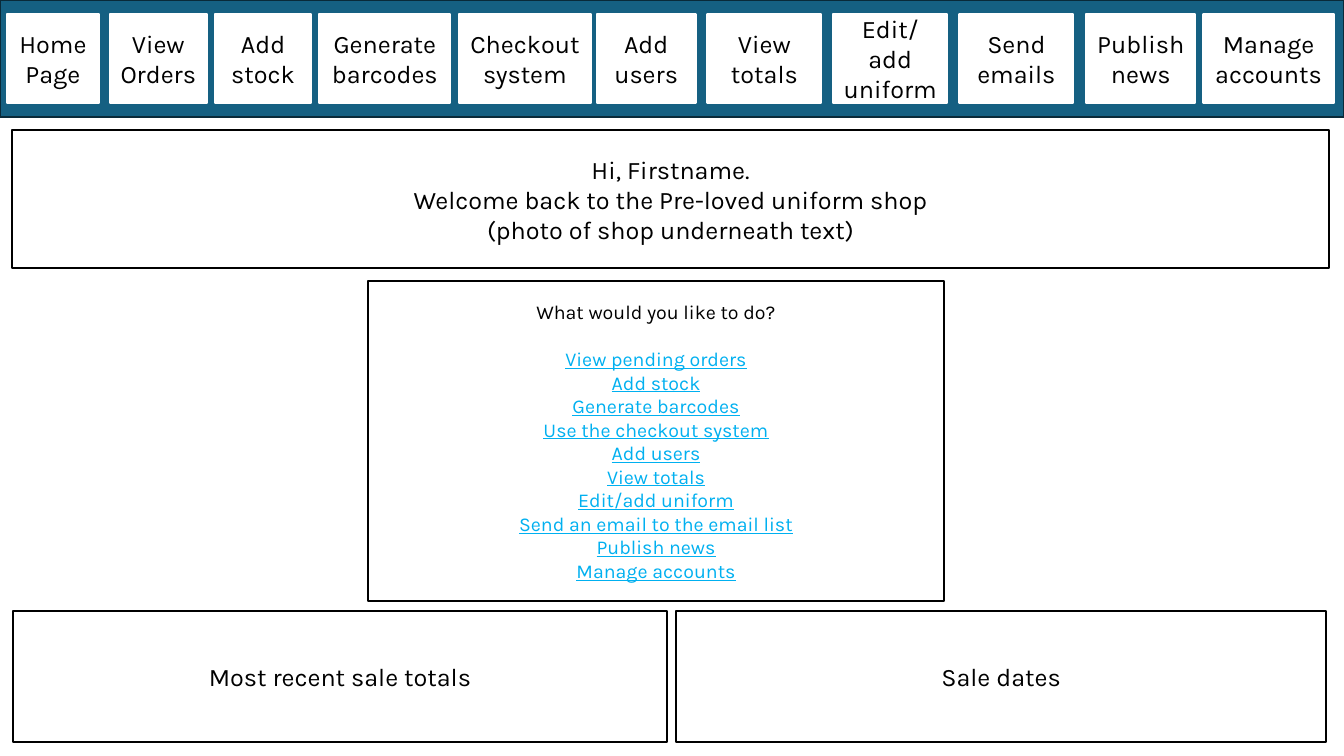
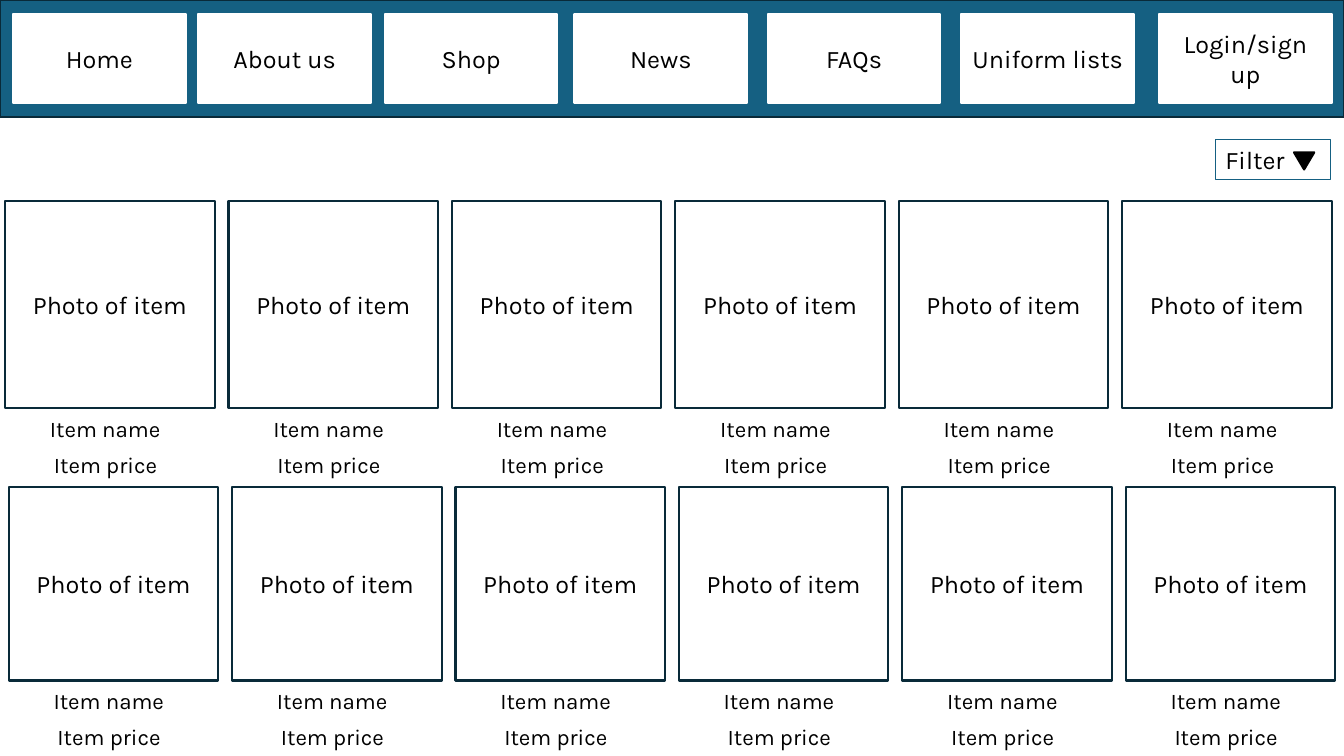
import pptx
from pptx.dml.color import RGBColor
from pptx.enum.shapes import MSO_SHAPE
from pptx.enum.text import MSO_ANCHOR, PP_ALIGN
from pptx.util import Cm, Pt

BLUE = RGBColor(0x15, 0x60, 0x82)
NAVY = RGBColor(0x09, 0x2A, 0x39)
LINK = RGBColor(0x00, 0xB0, 0xF0)
BLACK = RGBColor(0x00, 0x00, 0x00)
WHITE = RGBColor(0xFF, 0xFF, 0xFF)

FONT = "Karla"
SLIDE_WIDTH, SLIDE_HEIGHT = 33.87, 19.05
BAND = (0, 0, SLIDE_WIDTH, 2.95)

# Label, left and width of each button, in centimetres.
ADMIN_BUTTONS = [
    ("Home Page", 0.18, 2.31),
    ("View Orders", 2.77, 2.44),
    ("Add stock", 5.41, 2.44),
    ("Generate barcodes", 8.05, 3.3),
    ("Checkout system", 11.57, 3.32),
    ("Add users", 15.04, 2.49),
    ("View totals", 17.83, 2.87),
    ("Edit/add uniform", 21.0, 2.87),
    ("Send emails", 24.18, 2.87),
    ("Publish news", 27.38, 2.74),
    ("Manage accounts", 30.33, 3.28),
]
SHOP_BUTTONS = [
    ("Home", 0.33, 4.35),
    ("About us", 5.0, 4.35),
    ("Shop", 9.7, 4.35),
    ("News", 14.48, 4.35),
    ("FAQs", 19.35, 4.35),
    ("Uniform lists", 24.23, 4.35),
    ("Login/sign up", 29.21, 4.35),
]
GREETING = [
    "Hi, Firstname.",
    "Welcome back to the Pre-loved uniform shop",
    "(photo of shop underneath text)",
]
MENU_LINKS = [
    "View pending orders",
    "Add stock",
    "Generate barcodes",
    "Use the checkout system",
    "Add users",
    "View totals",
    "Edit/add uniform",
    "Send an email to the email list",
    "Publish news",
    "Manage accounts",
]

ITEM_COLUMNS = 6
ITEM_LEFT, ITEM_STEP, ITEM_WIDTH = 0.13, 5.63, 5.28
ITEM_ROWS = [(0, 5.06, 5.23), (0.09, 12.27, 4.88)]  # indent, top, photo height


def write_text(shape, lines, size=18, color=BLACK, align=PP_ALIGN.CENTER,
               anchor=MSO_ANCHOR.MIDDLE, underline=None, append=False):
    """Write one paragraph per line, replacing or following the present text."""
    frame = shape.text_frame
    frame.word_wrap = True
    frame.vertical_anchor = anchor
    for index, line in enumerate(lines):
        first = index == 0 and not append
        paragraph = frame.paragraphs[0] if first else frame.add_paragraph()
        paragraph.alignment = align
        run = paragraph.add_run()
        run.text = line
        run.font.name = FONT
        run.font.size = Pt(size)
        run.font.color.rgb = color
        run.font.underline = underline


def add_box(slide, box, fill=WHITE, line=BLACK, line_width=1.5,
            kind=MSO_SHAPE.RECTANGLE):
    shape = slide.shapes.add_shape(kind, *map(Cm, box))
    shape.shadow.inherit = False
    if fill is None:
        shape.fill.background()
    else:
        shape.fill.solid()
        shape.fill.fore_color.rgb = fill
    shape.line.color.rgb = line
    shape.line.width = Pt(line_width)
    return shape


def add_panel(slide, box, lines, line=BLACK):
    write_text(add_box(slide, box, line=line), lines)


def add_navigation(slide, band, buttons):
    left, top, _, _ = band
    add_box(slide, band, fill=BLUE, line=NAVY)
    for label, offset, width in buttons:
        add_panel(slide, (left + offset, top + 0.35, width, 2.24), [label], line=WHITE)


def add_menu(slide, box):
    menu = add_box(slide, box)
    write_text(menu, ["What would you like to do?"], size=14)
    menu.text_frame.paragraphs[0].space_after = Pt(17)
    write_text(menu, MENU_LINKS, size=14, color=LINK, underline=True, append=True)


def add_filter(slide, box):
    left, top, _, _ = box
    button = add_box(slide, box, fill=None, line=BLUE, line_width=0.75)
    write_text(button, ["Filter"], align=PP_ALIGN.LEFT, anchor=MSO_ANCHOR.TOP)
    arrow = add_box(slide, (left + 1.98, top + 0.33, 0.51, 0.43), fill=BLACK,
                    kind=MSO_SHAPE.ISOSCELES_TRIANGLE)
    arrow.rotation = 180


def add_item(slide, photo):
    """Add a photo frame with the item's name and price below it."""
    left, top, _, height = photo
    bottom = top + height
    add_panel(slide, photo, ["Photo of item"], line=NAVY)
    for label, indent, drop, width in [("Item name", 0.88, 0.05, 3.51),
                                       ("Item price", 0.98, 0.95, 3.33)]:
        box = (left + indent, bottom + drop, width, 0.94)
        caption = slide.shapes.add_textbox(*map(Cm, box))
        write_text(caption, [label], size=16, align=PP_ALIGN.LEFT, anchor=MSO_ANCHOR.TOP)


def add_blank_slide(presentation):
    return presentation.slides.add_slide(presentation.slide_layouts[6])


def build_admin_home(presentation):
    slide = add_blank_slide(presentation)
    add_navigation(slide, BAND, ADMIN_BUTTONS)
    add_panel(slide, (0.3, 3.28, 33.2, 3.48), GREETING)
    add_menu(slide, (9.27, 7.09, 14.53, 8.05))
    add_panel(slide, (0.33, 15.39, 16.48, 3.3), ["Most recent sale totals"])
    add_panel(slide, (17.04, 15.39, 16.38, 3.3), ["Sale dates"])


def build_shop(presentation):
    slide = add_blank_slide(presentation)
    add_navigation(slide, BAND, SHOP_BUTTONS)
    add_filter(slide, (30.63, 3.51, 2.9, 1.02))
    for indent, top, height in ITEM_ROWS:
        for column in range(ITEM_COLUMNS):
            left = ITEM_LEFT + indent + column * ITEM_STEP
            add_item(slide, (left, top, ITEM_WIDTH, height))


def main():
    presentation = pptx.Presentation()
    presentation.slide_width = Cm(SLIDE_WIDTH)
    presentation.slide_height = Cm(SLIDE_HEIGHT)
    build_admin_home(presentation)
    build_shop(presentation)
    presentation.save("out.pptx")


if __name__ == "__main__":
    main()
